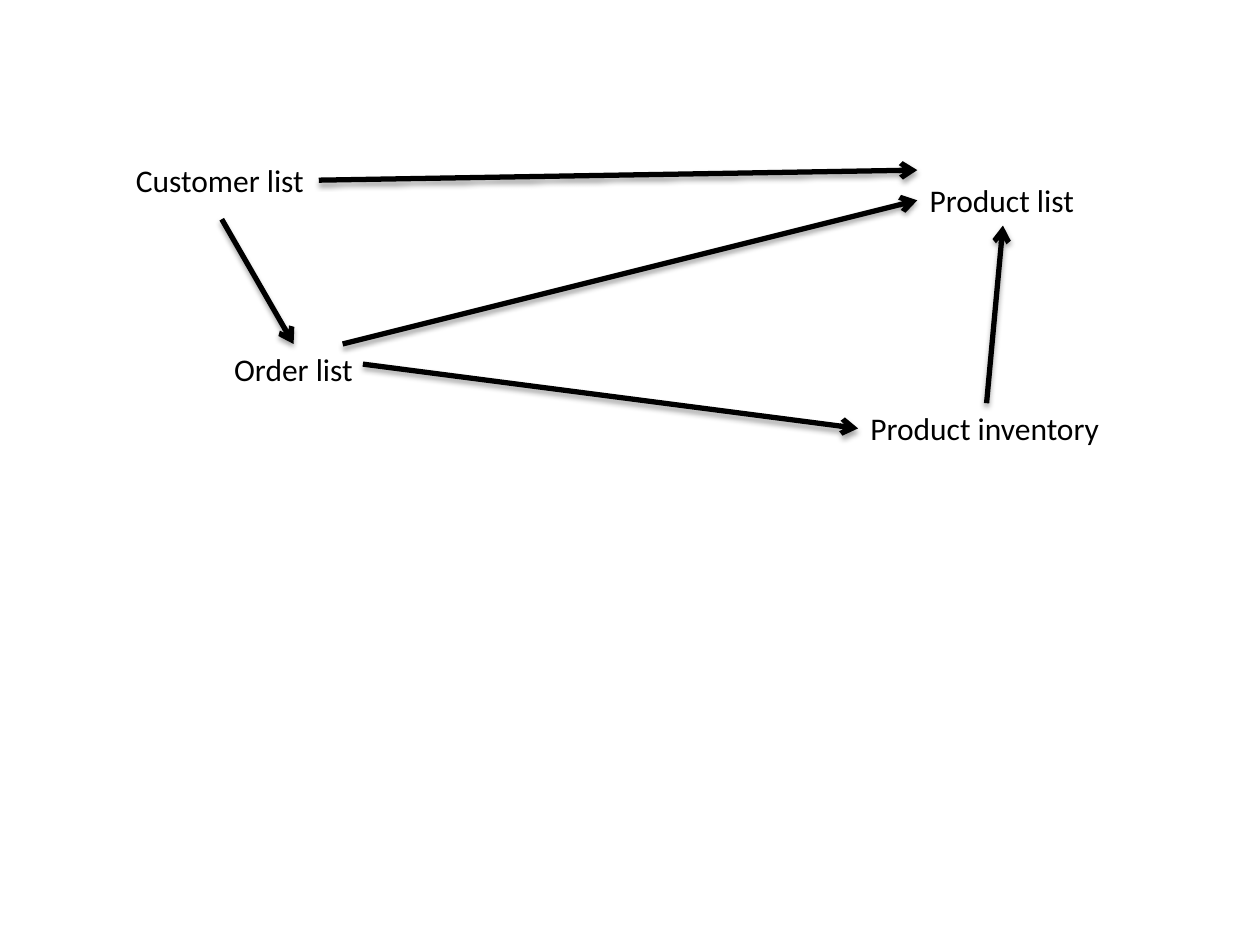
from lxml.etree import SubElement
from pptx import Presentation
from pptx.dml.color import RGBColor
from pptx.enum.shapes import MSO_CONNECTOR
from pptx.enum.text import MSO_AUTO_SIZE
from pptx.oxml.ns import qn
from pptx.util import Inches, Pt

BLACK = RGBColor(0x00, 0x00, 0x00)
COLS, ROWS = 100, 75
CELL = Inches(0.1)
LABEL_ROWS = 4

LABELS = [
    ("Product list", 72.8, 13.9, 13.6),
    ("Product inventory", 68.1, 32, 20.4),
    ("Customer list", 9.8, 12.3, 15.5),
    ("Order list", 17.6, 27.3, 11.5),
]

ARROWS = [
    ((17.6, 17.4), (23.3, 27.3)),
    ((78.3, 32), (79.6, 17.9)),
    ((27.2, 27.3), (72.8, 15.9)),
    ((25.3, 14.3), (72.8, 13.5)),
    ((28.8, 28.9), (68.1, 34)),
]


def cells(*counts):
    return [round(count * CELL) for count in counts]


def write_text(tf, text, size=18, font="Calibri", color=BLACK):
    r = tf.paragraphs[0].add_run()
    r.text = text
    r.font.size = Pt(size)
    r.font.name = font
    r.font.color.rgb = color


def add_label(shapes, text, col, row, width):
    tf = shapes.add_textbox(*cells(col, row, width, LABEL_ROWS)).text_frame
    tf.word_wrap = False
    tf.auto_size = MSO_AUTO_SIZE.SHAPE_TO_FIT_TEXT
    write_text(tf, text)


def add_shadow(spPr, color=BLACK, opacity=35, blur=3.1, distance=1.8, angle=90):
    effects = SubElement(spPr, qn("a:effectLst"))
    shadow = SubElement(effects, qn("a:outerShdw"), blurRad=str(Pt(blur)),
                        dist=str(Pt(distance)), dir=str(angle * 60000),
                        rotWithShape="0")
    clr = SubElement(shadow, qn("a:srgbClr"), val=str(color))
    SubElement(clr, qn("a:alpha"), val=str(opacity * 1000))


def add_arrow(shapes, start, end):
    sp = shapes.add_connector(MSO_CONNECTOR.STRAIGHT, *cells(*start, *end))
    sp.line.color.rgb = BLACK
    sp.line.width = Pt(3)
    spPr = sp.element.spPr
    SubElement(spPr.find(qn("a:ln")), qn("a:tailEnd"), type="arrow")
    add_shadow(spPr)


def main():
    prs = Presentation()
    prs.slide_width, prs.slide_height = cells(COLS, ROWS)
    s = prs.slides.add_slide(prs.slide_layouts[6])
    shapes = s.shapes.add_group_shape().shapes
    for label in LABELS:
        add_label(shapes, *label)
    for start, end in ARROWS:
        add_arrow(shapes, start, end)
    prs.save("out.pptx")


if __name__ == "__main__":
    main()
